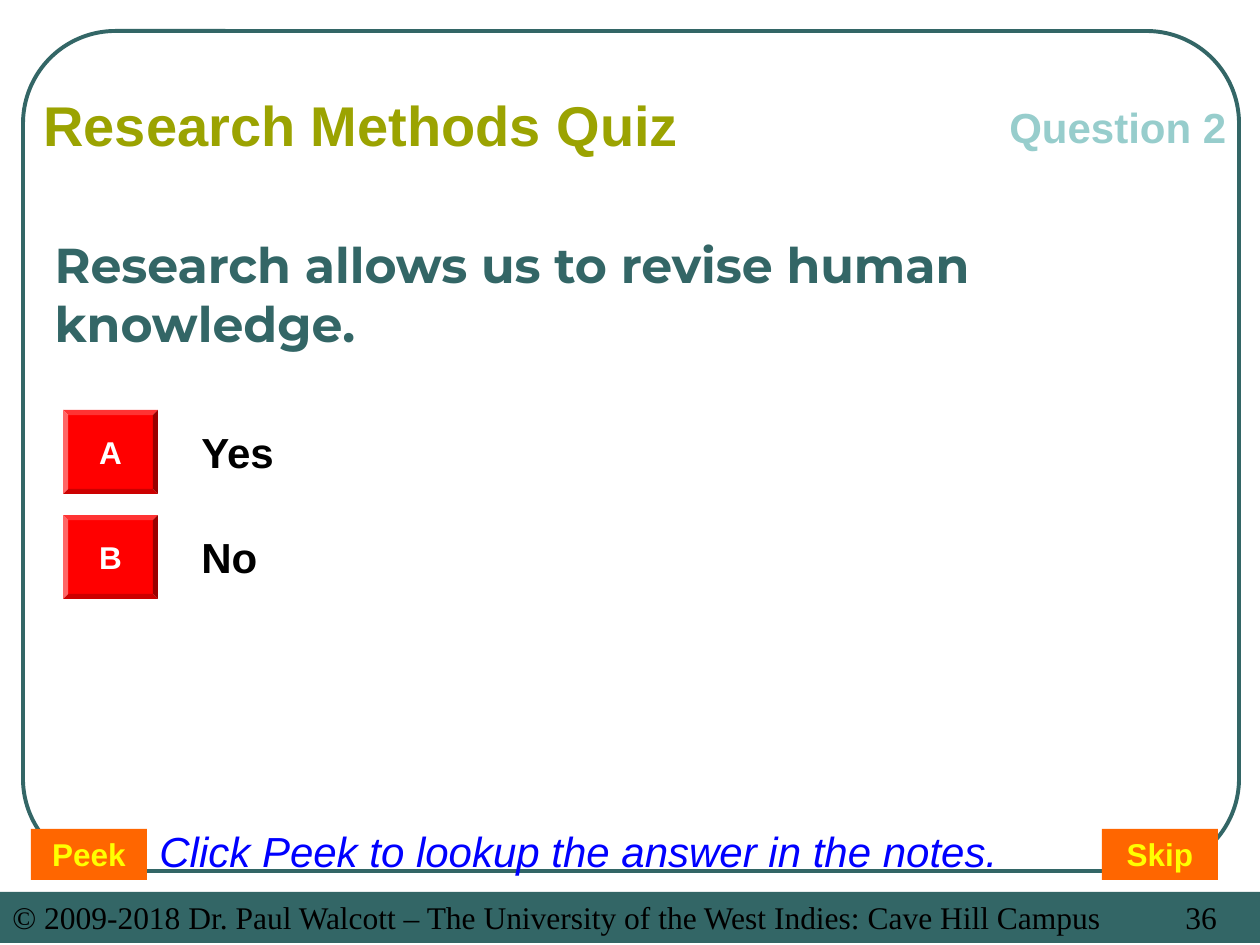
from pptx import Presentation
from pptx import util as u
from pptx.dml.color import RGBColor
from pptx.enum import shapes, text
from pptx.oxml.ns import qn
from lxml import etree

EMU_PER_PX = 914400 / 126
TEAL = "336666"
BLACK = "000000"


def px(length):
    return u.Emu(round(length * EMU_PER_PX))


def color(value):
    return RGBColor.from_string(value)


class QuizSlide:
    font = "Arial"

    def __init__(self, deck):
        self.slide = deck.slides.add_slide(deck.slide_layouts[5])

    def set_text(self, shape, words, size, ink, align="LEFT", anchor="TOP",
                 font=None, bold=True, italic=False):
        frame = shape.text_frame
        frame.text = words
        frame.word_wrap = True
        frame.auto_size = text.MSO_AUTO_SIZE.NONE
        frame.vertical_anchor = text.MSO_ANCHOR[anchor]
        para = frame.paragraphs[0]
        para.alignment = text.PP_ALIGN[align]
        style = para.runs[0].font
        style.name = font or self.font
        style.size = u.Pt(size)
        style.bold, style.italic = bold, italic
        style.color.rgb = color(ink)
        return para

    def title(self, words, left, top, width, height):
        title = self.slide.shapes.title
        title.left, title.top = px(left), px(top)
        title.width, title.height = px(width), px(height)
        title.fill.solid()
        title.fill.fore_color.rgb = color("FFFFFF")
        self.set_text(title, words, 28, TEAL, anchor="MIDDLE", font="Montserrat")

    def shape(self, kind, left, top, width, height, fill=None):
        shape = self.slide.shapes.add_shape(
            shapes.MSO_SHAPE[kind], px(left), px(top), px(width), px(height))
        shape.shadow.inherit = False
        shape.line.fill.background()
        if fill:
            shape.fill.solid()
            shape.fill.fore_color.rgb = color(fill)
        else:
            shape.fill.background()
        return shape

    def frame(self, left, top, width, height):
        frame = self.shape("ROUNDED_RECTANGLE", left, top, width, height)
        frame.adjustments[0] = 0.11
        frame.line.color.rgb = color(TEAL)
        frame.line.width = u.Pt(2.25)

    def label(self, words, left, top, width, height, size=24, ink=BLACK, **style):
        box = self.slide.shapes.add_textbox(px(left), px(top), px(width), px(height))
        self.set_text(box, words, size, ink, **style)

    def answer(self, letter, words, top):
        button = self.shape("BEVEL", 63, top, 95, 84, "FF0000")
        button.adjustments[0] = 0.06
        self.set_text(button, letter, 18, "FFFFFF", "CENTER", "MIDDLE")
        self.label(words, 189, top + 10, 1000, 63)

    def button(self, words, left):
        button = self.shape("RECTANGLE", left, 829, 116, 51, "FF6600")
        self.set_text(button, words, 18, "FFFF00", "CENTER")

    def footer(self, words, number):
        """Draw the bottom bar, with the slide number at a tab stop."""
        bar = self.shape("RECTANGLE", 0, 892, 1260, 51, TEAL)
        para = self.set_text(bar, f"{words}\t{number}", 18, BLACK,
                             font="Times New Roman", bold=False)
        properties = para._p.get_or_add_pPr()
        tabs = etree.SubElement(properties, qn("a:tabLst"))
        etree.SubElement(tabs, qn("a:tab"), pos=str(px(1173)), algn="l")


def main():
    deck = Presentation()
    deck.slide_width, deck.slide_height = u.Inches(10), u.Inches(7.5)
    quiz = QuizSlide(deck)
    quiz.frame(23, 31, 1216, 840)
    quiz.footer("© 2009-2018 Dr. Paul Walcott – The University of the West Indies: "
                "Cave Hill Campus", 36)
    quiz.title("Research allows us to revise human knowledge.", 42, 199, 1155, 189)
    for row, (letter, words) in enumerate([("A", "Yes"), ("B", "No")]):
        quiz.answer(letter, words, 410 + 105 * row)
    quiz.label("Question 2", 997, 95, 262, 63, ink="97CDCC")
    quiz.label("Research Methods Quiz", 31, 84, 819, 81, size=32, ink="9BA301")
    for words, left in [("Peek", 31), ("Skip", 1102)]:
        quiz.button(words, left)
    quiz.label("Click Peek to lookup the answer in the notes.", 147, 819, 903, 63,
               ink="0000FF", bold=False, italic=True)
    deck.save("out.pptx")


if __name__ == "__main__":
    main()
